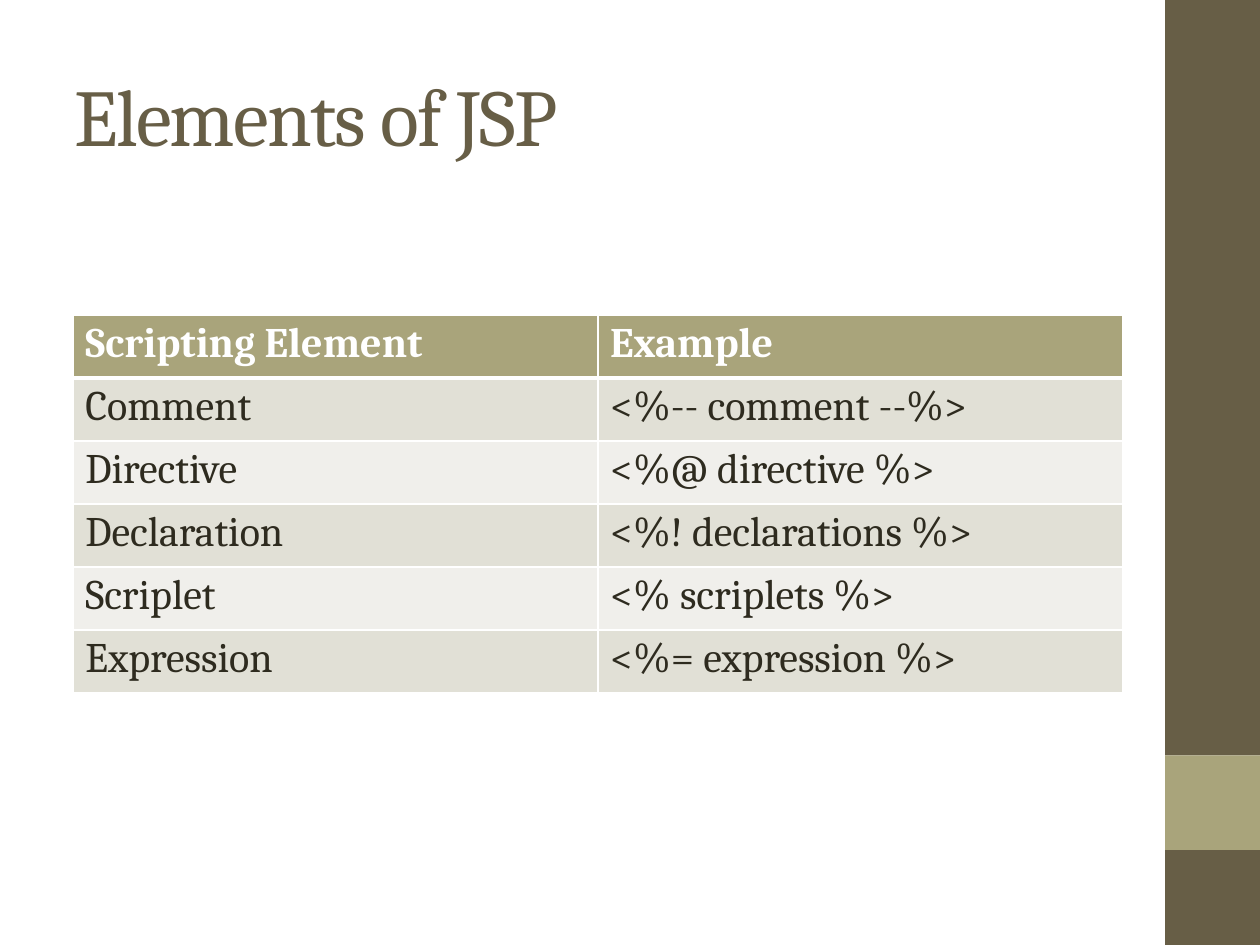
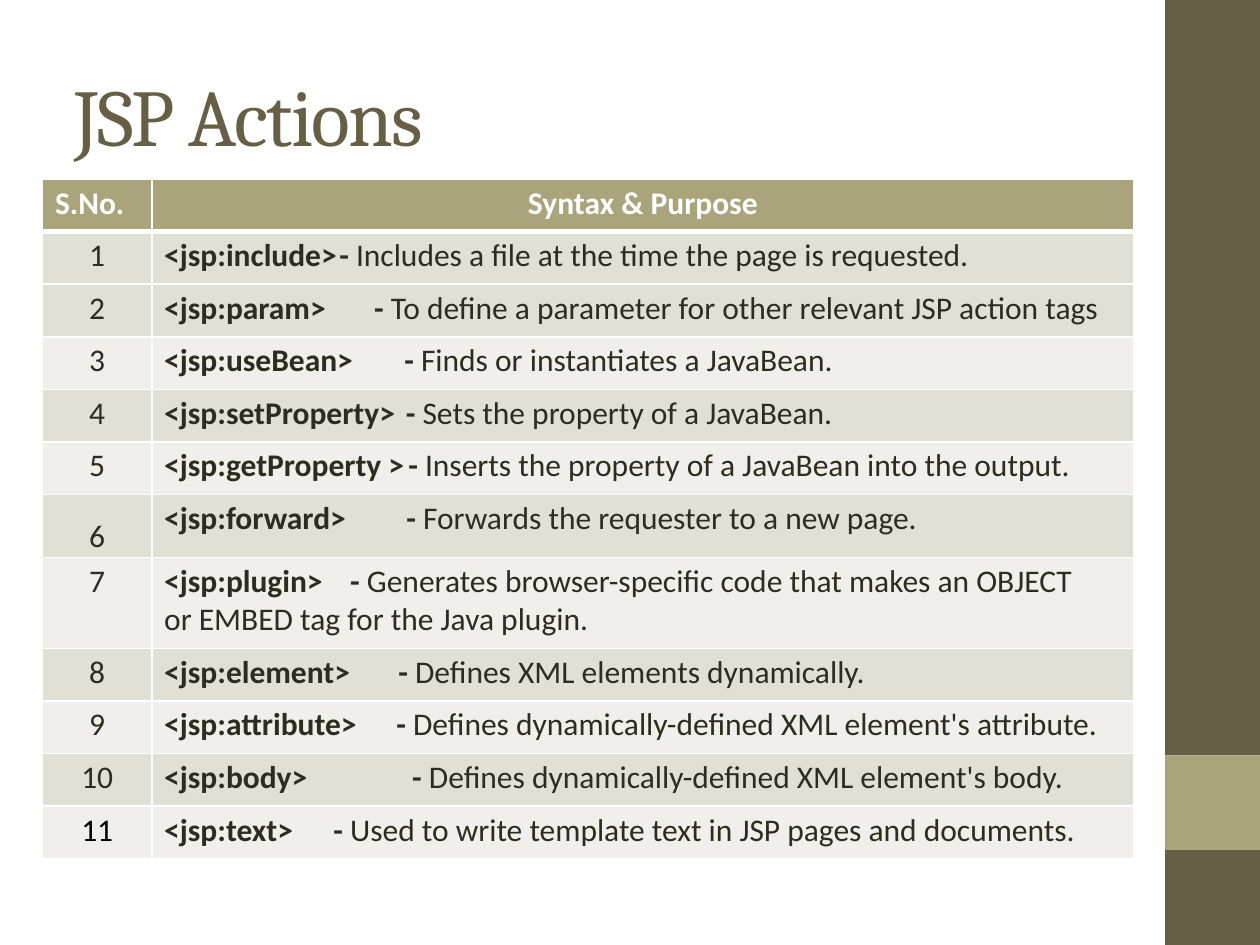
from lxml import etree
from pptx import Presentation
from pptx.dml.color import RGBColor
from pptx.enum.shapes import MSO_SHAPE
from pptx.enum.text import MSO_ANCHOR, MSO_AUTO_SIZE, PP_ALIGN
from pptx.oxml.ns import qn
from pptx.util import Cm, Pt

RECTANGLE = MSO_SHAPE.RECTANGLE
TOP, NO_FIT = MSO_ANCHOR.TOP, MSO_AUTO_SIZE.NONE
LEFT, CENTER = PP_ALIGN.LEFT, PP_ALIGN.CENTER

COLORS = {
    "brown": "675E46", "olive": "A9A47B", "white": "FFFFFF", "text": "2E2B1F",
    "dark_row": "E1E0D6", "light_row": "F0EFEB", "black": "000000",
}
TITLE_FONT, TABLE_FONT = "Cambria", "Calibri"
BAND = Cm(1.91)
CELL_INDENT, CELL_TOP = Cm(0.25), Cm(0.1)

ELEMENTS = [
    ("Scripting Element", "Example"),
    ("Comment", "<%-- comment --%>"),
    ("Directive", "<%@ directive %>"),
    ("Declaration", "<%! declarations %>"),
    ("Scriplet", "<% scriplets %>"),
    ("Expression", "<%= expression %>"),
]

ACTION_HEADER = ("S.No.", "Syntax & Purpose")
# tag, tab stop of the dash in cm, purpose
ACTIONS = [
    ("<jsp:include>", 3.53, "Includes a file at the time the page is requested."),
    ("<jsp:param>", 4.23, "To define a parameter for other relevant JSP action tags"),
    ("<jsp:useBean>", 4.84, "Finds or instantiates a JavaBean."),
    ("<jsp:setProperty>", 4.87, "Sets the property of a JavaBean."),
    ("<jsp:getProperty >", 4.92, "Inserts the property of a JavaBean into the output."),
    ("<jsp:forward>", 4.88, "Forwards the requester to a new page."),
    ("<jsp:plugin>", 3.75, "Generates browser-specific code that makes an OBJECT "
                           "or EMBED tag for the Java plugin."),
    ("<jsp:element>", 4.72, "Defines XML elements dynamically."),
    ("<jsp:attribute>", 4.68, "Defines dynamically-defined XML element's attribute."),
    ("<jsp:body>", 5.0, "Defines dynamically-defined XML element's body."),
    ("<jsp:text>", 3.41, "Used to write template text in JSP pages and documents."),
]
FORWARD_ROW, PLUGIN_ROW, LAST_ROW = 6, 7, len(ACTIONS)
ACTION_ROW_HEIGHTS = {FORWARD_ROW: 1.27, PLUGIN_ROW: 1.83}


def rgb(name):
    return RGBColor.from_string(COLORS[name])


def style_run(r, font, size, color, bold=False):
    r.font.name, r.font.size, r.font.bold = font, Pt(size), bold
    r.font.color.rgb = rgb(color)


def add_slide(prs, title):
    """Add a title-only slide with the side bands."""
    s = prs.slides.add_slide(prs.slide_layouts[5])
    left, bottom = prs.slide_width - BAND, prs.slide_height
    for top, height, color in (
        (0, bottom - 2 * BAND, "brown"),
        (bottom - 2 * BAND, BAND, "olive"),
        (bottom - BAND, BAND, "brown"),
    ):
        sp = s.shapes.add_shape(RECTANGLE, left, top, BAND, height)
        sp.shadow.inherit = False
        sp.fill.solid()
        sp.fill.fore_color.rgb = rgb(color)
        sp.line.fill.background()

    sp = s.shapes.title
    sp.left, sp.top, sp.width, sp.height = Cm(1.5), Cm(1.3), Cm(21), Cm(2)
    tf = sp.text_frame
    tf.text = title
    tf.auto_size, tf.vertical_anchor = NO_FIT, TOP
    tf.margin_left = tf.margin_right = tf.margin_bottom = 0
    tf.margin_top = Cm(0.03)
    p = tf.paragraphs[0]
    p.alignment = LEFT
    r = p.runs[0]
    style_run(r, TITLE_FONT, 46, "brown")
    r.font._element.set("spc", "-100")
    return s


def add_borders(cell, row):
    heavy = {0: "lnB", 1: "lnT"}.get(row)
    tc_pr = cell._tc.get_or_add_tcPr()
    for side in ("lnL", "lnR", "lnT", "lnB"):
        width = Pt(3 if side == heavy else 1)
        ln = etree.SubElement(tc_pr, qn(f"a:{side}"), w=str(width))
        fill = etree.SubElement(ln, qn("a:solidFill"))
        etree.SubElement(fill, qn("a:srgbClr"), val=COLORS["white"])


def add_grid(s, left, top, col_widths, row_heights, first_light):
    """Add an empty table whose light rows alternate from first_light on."""
    table = s.shapes.add_table(
        len(row_heights), len(col_widths), Cm(left), Cm(top),
        Cm(sum(col_widths)), Cm(sum(row_heights))).table
    for col, width in zip(table.columns, col_widths):
        col.width = Cm(width)
    for i, (row, height) in enumerate(zip(table.rows, row_heights)):
        row.height = Cm(height)
        light = i >= first_light and (i - first_light) % 2 == 0
        color = "olive" if i == 0 else "light_row" if light else "dark_row"
        for cell in row.cells:
            add_borders(cell, i)
            cell.fill.solid()
            cell.fill.fore_color.rgb = rgb(color)
            cell.margin_left, cell.margin_top = CELL_INDENT, CELL_TOP
            cell.margin_right = cell.margin_bottom = 0
    return table


def write_cell(cell, text, font, size, header, align=LEFT, color="text"):
    p = cell.text_frame.paragraphs[0]
    p.text = text
    p.alignment = align
    if align == CENTER:
        cell.margin_left = 0
    style_run(p.runs[0], font, size, "white" if header else color, header)


def write_action(cell, tag, tab, purpose):
    p = cell.text_frame.paragraphs[0]
    tabs = etree.SubElement(p._p.get_or_add_pPr(), qn("a:tabLst"))
    etree.SubElement(tabs, qn("a:tab"), pos=str(Cm(tab)), algn="l")
    for text, bold in ((f"{tag}\t- ", True), (purpose, False)):
        r = p.add_run()
        r.text = text
        style_run(r, TABLE_FONT, 18, "text", bold)


def build_elements(prs):
    s = add_slide(prs, "Elements of JSP")
    table = add_grid(s, 1.47, 6.35, [10.58] * 2, [1.27] * len(ELEMENTS), 2)
    for i, row in enumerate(ELEMENTS):
        for j, text in enumerate(row):
            write_cell(table.cell(i, j), text, TITLE_FONT, 24, i == 0)


def build_actions(prs):
    s = add_slide(prs, "JSP Actions")
    heights = [ACTION_ROW_HEIGHTS.get(i, 1.06) for i in range(len(ACTIONS) + 1)]
    table = add_grid(s, 0.86, 3.61, [2.2, 19.8], heights, 3)
    for j, (text, align) in enumerate(zip(ACTION_HEADER, (LEFT, CENTER))):
        write_cell(table.cell(0, j), text, TABLE_FONT, 18, True, align)
    for i, action in enumerate(ACTIONS, 1):
        color = "black" if i == LAST_ROW else "text"
        write_cell(table.cell(i, 0), str(i), TABLE_FONT, 18, False, CENTER, color)
        write_action(table.cell(i, 1), *action)
    table.cell(FORWARD_ROW, 0).margin_top = Cm(0.47)
    table.cell(PLUGIN_ROW, 1).margin_right = Cm(1)


def main():
    prs = Presentation()
    prs.slide_width, prs.slide_height = Cm(25.4), Cm(19.05)
    build_elements(prs)
    build_actions(prs)
    prs.save("out.pptx")


if __name__ == "__main__":
    main()
